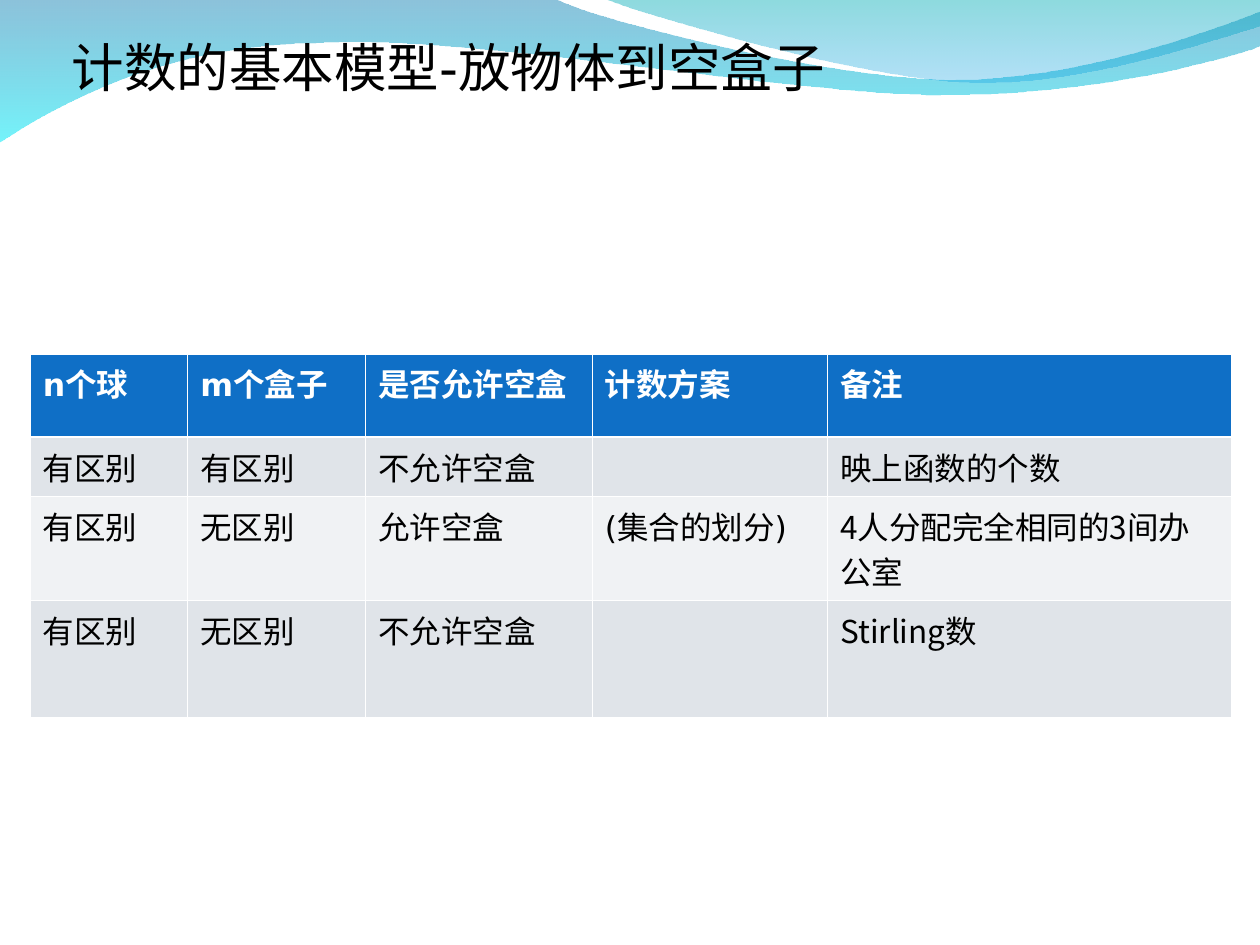
from lxml import etree
from pptx import Presentation, util as u
from pptx.dml.color import RGBColor
from pptx.enum import text
from pptx.oxml import ns

LATIN, CJK = "DejaVu Sans", "Noto Sans CJK SC"
TITLE = "计数的基本模型-放物体到空盒子"
ROWS = [
    ["n个球", "m个盒子", "是否允许空盒", "计数方案", "备注"],
    ["有区别", "有区别", "不允许空盒", "", "映上函数的个数"],
    ["有区别", "无区别", "允许空盒", "(集合的划分)", "4人分配完全相同的3间办公室"],
    ["有区别", "无区别", "不允许空盒", "", "Stirling数"],
]
COLUMN_WIDTHS = [1.25, 1.41, 1.8, 1.87, 3.2]
ROW_HEIGHTS = [0.66, 0.47, 0.7, 0.93]
ROW_FILLS = ["0F6FC6", "E0E4E9", "F0F2F4", "E0E4E9"]

# Each wave: start, then segments of one point (line) or three points (cubic curve);
# gradient as (colour, opacity %)
WAVES = [
    ((0, -0.01),
     [[(4.4, -0.01)],
      [(4.76, 0.17), (6.64, 0.63), (7.58, 0.63)],
      [(8.53, 0.63), (9.58, 0.26), (10, 0.09)],
      [(10.01, 0.36)],
      [(9.83, 0.44), (8.7, 0.76), (7.46, 0.75)],
      [(6.22, 0.75), (3.82, 0.28), (2.57, 0.34)],
      [(1.29, 0.35), (0.46, 0.83), (-0.01, 1.13)],
      [(0, -0.01)]],
     [("0079AF", 45), ("00EBF8", 55)]),
    ((4.79, -0.01),
     [[(5.09, 0.11), (6.82, 0.62), (7.69, 0.65)],
      [(8.56, 0.69), (9.61, 0.32), (10, 0.21)],
      [(10, 0)],
      [(4.79, -0.01)]],
     [("00ADB6", 45), ("009BE5", 30)]),
]


def rgb(value):
    return RGBColor.from_string(value)


def bend_curves(shape, segments):
    """Merge the three lines of each curved segment into one cubic curve."""
    lines = iter(list(shape.element.spPr.iter(ns.qn("a:lnTo"))))
    for segment in segments:
        parts = [next(lines) for _ in segment]
        if len(parts) == 3:
            curve = etree.Element(ns.qn("a:cubicBezTo"))
            parts[0].addprevious(curve)
            for part in parts:
                curve.append(part[0])
                part.getparent().remove(part)


def add_wave(slide, start, segments, gradient):
    points = [(u.Inches(x), u.Inches(y)) for segment in segments for x, y in segment]
    builder = slide.shapes.build_freeform(*map(u.Inches, start))
    builder.add_line_segments(points, close=True)
    shape = builder.convert_to_shape()
    bend_curves(shape, segments)
    shape.shadow.inherit = False
    shape.line.fill.background()
    shape.fill.gradient()
    shape.fill.gradient_angle = 270
    for stop, (color, _) in zip(shape.fill.gradient_stops, gradient):
        stop.color.rgb = rgb(color)
    for node, (_, opacity) in zip(shape.element.spPr.iter(ns.qn("a:srgbClr")), gradient):
        etree.SubElement(node, ns.qn("a:alpha"), val=str(opacity * 1000))


def write(paragraph, words, size, color, bold=False, latin=LATIN):
    run = paragraph.add_run()
    run.text = words
    run.font.size = u.Pt(size)
    run.font.bold = bold
    run.font.color.rgb = rgb(color)
    run.font.name = latin
    etree.SubElement(run.font._element, ns.qn("a:ea"), typeface=CJK)


def add_borders(cell, widths):
    properties = cell._tc.get_or_add_tcPr()
    for side, width in widths.items():
        line = etree.SubElement(properties, ns.qn(f"a:ln{side}"), w=str(u.Pt(width)))
        fill = etree.SubElement(line, ns.qn("a:solidFill"))
        etree.SubElement(fill, ns.qn("a:srgbClr"), val="FFFFFF")


def add_table(slide):
    frame = slide.shapes.add_table(len(ROWS), len(COLUMN_WIDTHS), u.Inches(0.24), u.Inches(2.81),
                                   u.Inches(sum(COLUMN_WIDTHS)), u.Inches(sum(ROW_HEIGHTS)))
    table = frame.table
    for column, width in zip(table.columns, COLUMN_WIDTHS):
        column.width = u.Inches(width)
    for i, (row, height) in enumerate(zip(table.rows, ROW_HEIGHTS)):
        row.height = u.Inches(height)
        header = i == 0
        for j, (cell, words) in enumerate(zip(row.cells, ROWS[i])):
            add_borders(cell, {"L": 0.45, "R": 0.45, "T": 1.47 if i == 1 else 0.45,
                               "B": 1.47 if header else 0.45})
            cell.fill.solid()
            cell.fill.fore_color.rgb = rgb(ROW_FILLS[i])
            if words:
                latin = CJK if i >= 2 and j == 4 else LATIN
                write(cell.text_frame.paragraphs[0], words, 18,
                      "FFFFFF" if header else "000000", header, latin)


def add_title(slide):
    box = slide.shapes.add_textbox(u.Inches(0.47), u.Inches(0.23), u.Inches(7.48), u.Inches(0.6))
    box.text_frame.word_wrap = True
    box.text_frame.vertical_anchor = text.MSO_ANCHOR.MIDDLE
    write(box.text_frame.paragraphs[0], TITLE, 30, "000000")


def main():
    presentation = Presentation()
    presentation.slide_width, presentation.slide_height = u.Inches(10), u.Inches(7.5)
    slide = presentation.slides.add_slide(presentation.slide_layouts[6])
    for wave in WAVES:
        add_wave(slide, *wave)
    add_table(slide)
    add_title(slide)
    presentation.save("out.pptx")


if __name__ == "__main__":
    main()
